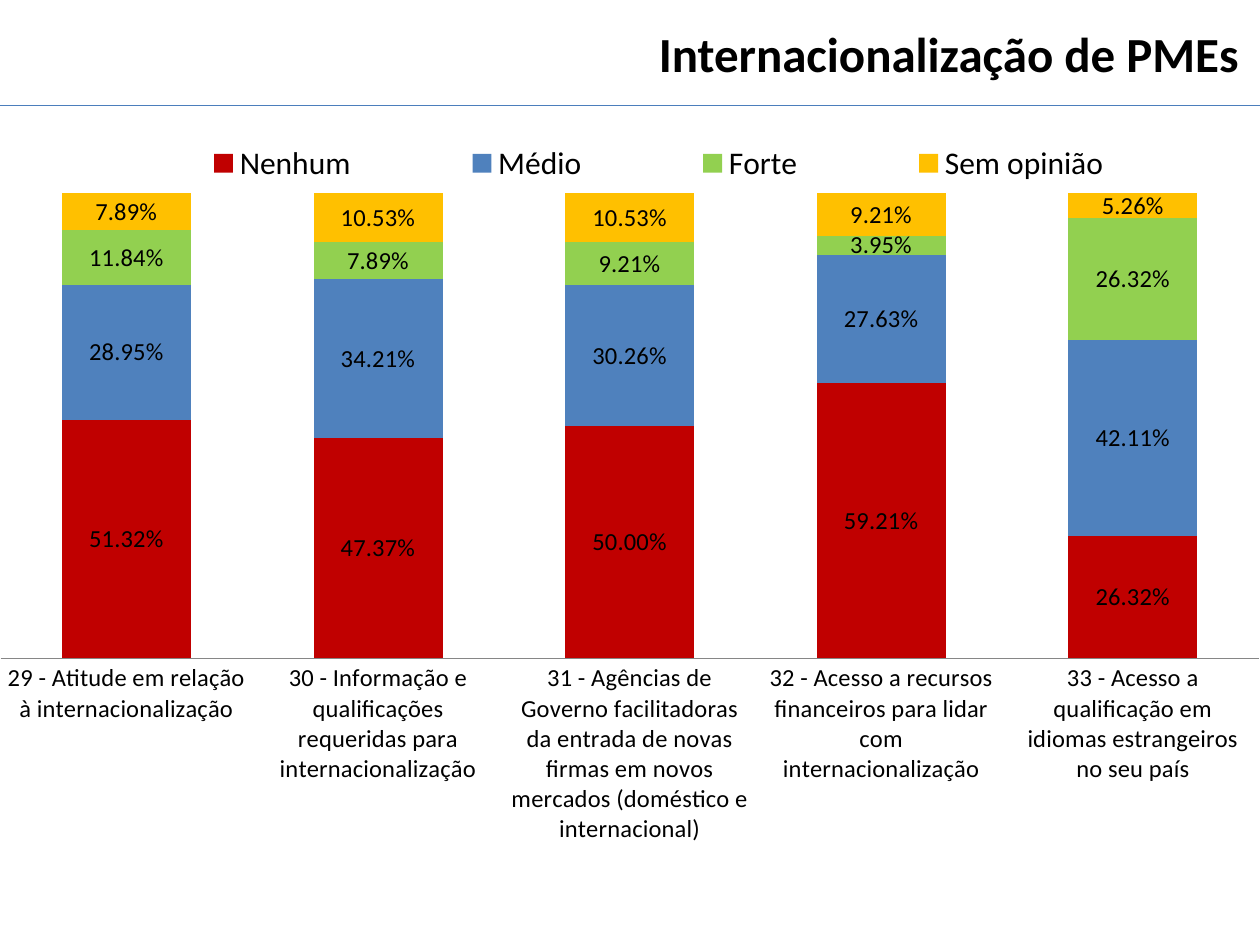
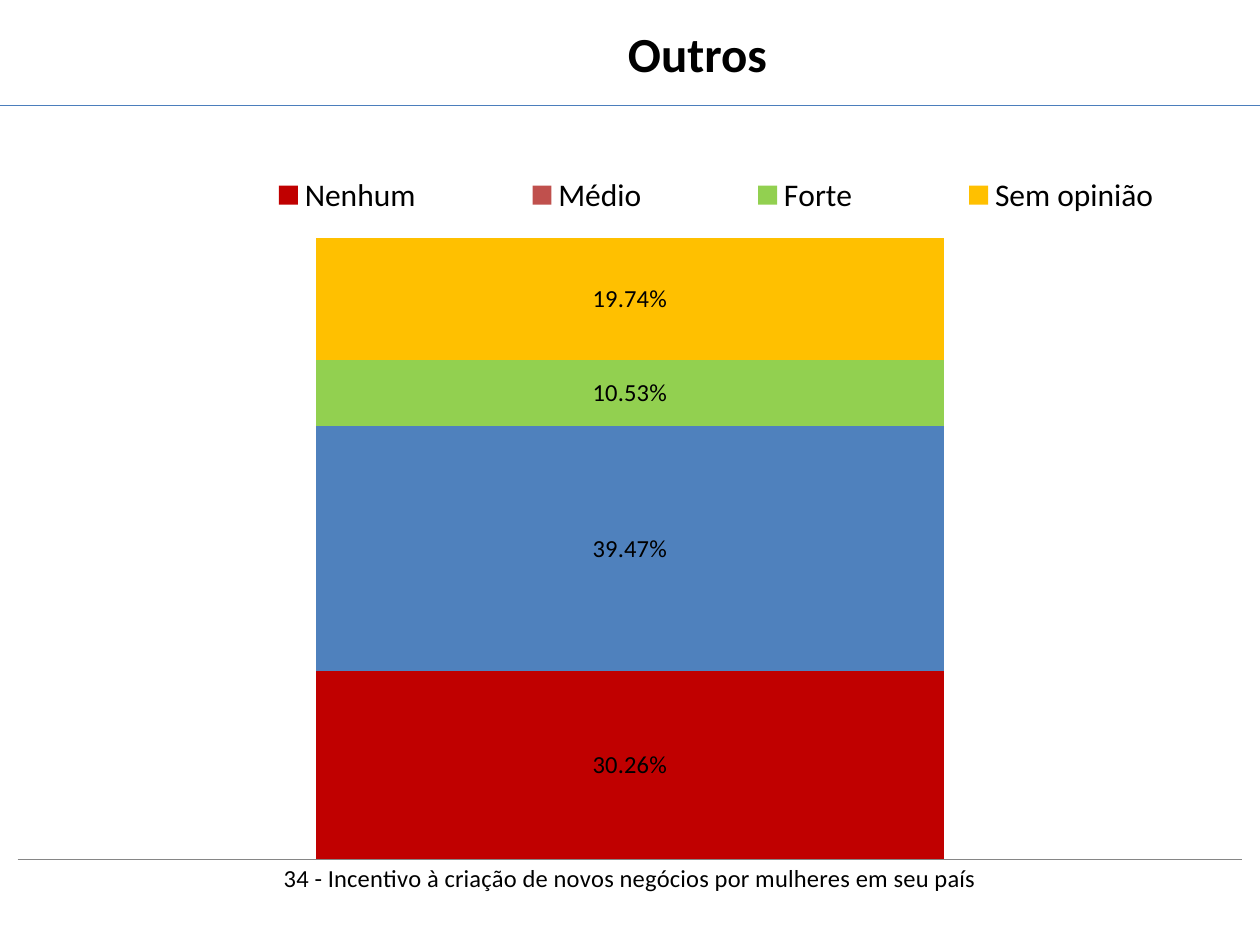
from lxml import etree
from pptx import Presentation
from pptx.chart.data import CategoryChartData
from pptx.dml.color import RGBColor
from pptx.enum.chart import XL_CHART_TYPE, XL_LABEL_POSITION, XL_LEGEND_POSITION, XL_TICK_MARK
from pptx.enum.shapes import MSO_CONNECTOR
from pptx.enum.text import MSO_ANCHOR, PP_ALIGN
from pptx.oxml import parse_xml
from pptx.oxml.ns import nsdecls, qn
from pptx.util import Inches, Pt

STACKED = XL_CHART_TYPE.COLUMN_STACKED_100
CENTER_LABEL = XL_LABEL_POSITION.CENTER
LEGEND_TOP = XL_LEGEND_POSITION.TOP
NO_TICK = XL_TICK_MARK.NONE
STRAIGHT = MSO_CONNECTOR.STRAIGHT
MIDDLE = MSO_ANCHOR.MIDDLE
LEFT_TO_RIGHT, CENTERED = PP_ALIGN.RIGHT, PP_ALIGN.CENTER

FONT = "Calibri"
BLACK = RGBColor(0x00, 0x00, 0x00)
RULE_BLUE = RGBColor(0x4B, 0x7E, 0xBC)
AXIS_GRAY = RGBColor(0x86, 0x86, 0x86)
RED = RGBColor(0xC0, 0x00, 0x00)
BLUE = RGBColor(0x4F, 0x81, 0xBD)
BRICK = RGBColor(0xC0, 0x50, 0x4D)
GREEN = RGBColor(0x92, 0xD0, 0x50)
AMBER = RGBColor(0xFF, 0xC0, 0x00)

# Content: answers are shares per category; layouts are x, y, w, h shares of the chart
ANSWERS = [("Nenhum", RED), ("Médio", BLUE), ("Forte", GREEN), ("Sem opinião", AMBER)]
SLIDES = [
    {
        "title": "Internacionalização de PMEs",
        "align": LEFT_TO_RIGHT,
        "questions": [
            ("29 - Atitude em relação à internacionalização",
             (0.5132, 0.2895, 0.1184, 0.0789)),
            ("30 - Informação e qualificações requeridas para internacionalização",
             (0.4737, 0.3421, 0.0789, 0.1053)),
            ("31 - Agências de Governo facilitadoras da entrada de novas firmas "
             "em novos mercados (doméstico e internacional)",
             (0.5, 0.3026, 0.0921, 0.1053)),
            ("32 - Acesso a recursos financeiros para lidar com internacionalização",
             (0.5921, 0.2763, 0.0395, 0.0921)),
            ("33 - Acesso a qualificação em idiomas estrangeiros no seu país",
             (0.2632, 0.4211, 0.2632, 0.0526)),
        ],
        "plot": (0, 0.103, 0.999, 0.555),
        "legend": (0.081, 0.032, 0.883, 0.07),
        "legend_colors": {},
    },
    {
        "title": "Outros",
        "align": CENTERED,
        "questions": [
            ("34 - Incentivo à criação de novos negócios por mulheres em seu país",
             (0.3026, 0.3947, 0.1053, 0.1974)),
        ],
        "plot": (0.014, 0.156, 0.972, 0.742),
        "legend": (0.137, 0.07, 0.871, 0.07),
        "legend_colors": {"Médio": BRICK},
    },
]

# Shared frame, in inches
WIDTH, HEIGHT = 10, 7.5
RULE_TOP = 0.84
CHART_TOP = 0.85
TITLE_BOX = (1.14, 0.19, 8.79, 0.46)


def set_font(font, size, bold=False):
    font.name, font.size, font.bold = FONT, Pt(size), bold
    font.color.rgb = BLACK


def set_fill(target, color):
    target.format.fill.solid()
    target.format.fill.fore_color.rgb = color


def manual_layout(box, inner=False):
    target = '<c:layoutTarget val="inner"/>' if inner else ""
    modes = '<c:xMode val="edge"/><c:yMode val="edge"/>'
    sizes = "".join(f'<c:{key} val="{share}"/>' for key, share in zip("xywh", box))
    return parse_xml(f'<c:layout {nsdecls("c")}><c:manualLayout>{target}{modes}{sizes}'
                     "</c:manualLayout></c:layout>")


def add_header(slide, title, align):
    shape = slide.shapes.title
    shape.left, shape.top, shape.width, shape.height = map(Inches, TITLE_BOX)
    frame = shape.text_frame
    frame.text = title
    frame.word_wrap = True
    frame.vertical_anchor = MIDDLE
    paragraph = frame.paragraphs[0]
    paragraph.alignment = align
    set_font(paragraph.font, 28, bold=True)

    rule = slide.shapes.add_connector(
        STRAIGHT, 0, Inches(RULE_TOP), Inches(WIDTH), Inches(RULE_TOP))
    rule.line.color.rgb = RULE_BLUE
    rule.line.width = Pt(0.75)
    etree.SubElement(rule._element.spPr, qn("a:effectLst"))


def add_answer_chart(slide, content):
    questions = content["questions"]
    data = CategoryChartData(number_format="0.00%")
    data.categories = [question for question, _ in questions]
    for index, (answer, _) in enumerate(ANSWERS):
        data.add_series(answer, [shares[index] for _, shares in questions])
    chart = slide.shapes.add_chart(
        STACKED, 0, Inches(CHART_TOP), Inches(WIDTH), Inches(HEIGHT - CHART_TOP), data).chart
    set_font(chart.font, 10)
    chart.has_title = False

    # Columns and their labels
    plot = chart.plots[0]
    plot.gap_width, plot.overlap, plot.vary_by_categories = 95, 100, False
    for series, (answer, color) in zip(plot.series, ANSWERS):
        legend_color = content["legend_colors"].get(answer, color)
        set_fill(series, legend_color)
        if legend_color != color:
            for index in range(len(questions)):
                set_fill(series.points[index], color)
        labels = series.data_labels
        labels.show_value = True
        labels.position = CENTER_LABEL
        labels.number_format, labels.number_format_is_linked = "0.00%", False
        set_font(labels.font, 14)

    # Axes
    category_axis, value_axis = chart.category_axis, chart.value_axis
    category_axis.major_tick_mark = category_axis.minor_tick_mark = NO_TICK
    category_axis.format.line.color.rgb = AXIS_GRAY
    set_font(category_axis.tick_labels.font, 14)
    value_axis.has_major_gridlines = False
    value_axis.visible = False

    # Legend and placement
    chart.has_legend = True
    legend = chart.legend
    legend.position, legend.include_in_layout = LEGEND_TOP, False
    set_font(legend.font, 18)
    for element, layout in (
            (chart._chartSpace.chart.plotArea, manual_layout(content["plot"], inner=True)),
            (legend._element, manual_layout(content["legend"]))):
        for previous in element.findall(qn("c:layout")):
            element.remove(previous)
        element.insert(1 if element is legend._element else 0, layout)


def main():
    presentation = Presentation()
    presentation.slide_width, presentation.slide_height = Inches(WIDTH), Inches(HEIGHT)
    title_only = presentation.slide_layouts[5]
    for content in SLIDES:
        slide = presentation.slides.add_slide(title_only)
        add_header(slide, content["title"], content["align"])
        add_answer_chart(slide, content)
    presentation.save("out.pptx")


if __name__ == "__main__":
    main()
